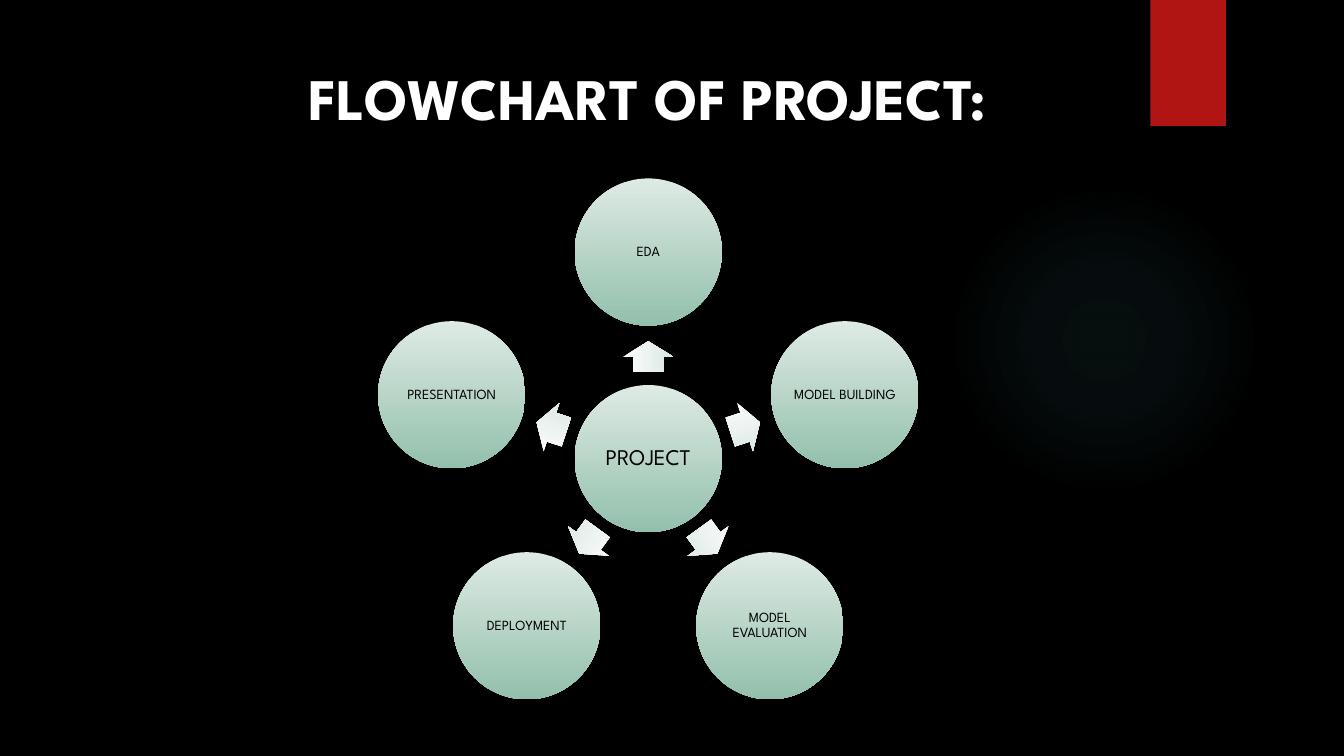
from dataclasses import dataclass
from math import cos, radians, sin

from lxml.etree import SubElement
from pptx import Presentation
from pptx.dml.color import RGBColor
from pptx.enum.shapes import MSO_SHAPE
from pptx.enum.text import MSO_ANCHOR, PP_ALIGN
from pptx.oxml.ns import qn
from pptx.util import Pt

SCALE = 9144
SIZE = (1333, 750)
HUB = (643, 455)
STEPS = ["EDA", "MODEL BUILDING", "MODEL EVALUATION", "DEPLOYMENT", "PRESENTATION"]
DISC = 146
ORBIT = 205
REACH = 101
ARROW = (31, 50)


@dataclass(frozen=True)
class Theme:
    font: str = "League Spartan"
    back: str = "000000"
    title: str = "FFFFFF"
    label: str = "000000"
    flag: str = "B01513"
    glow: str = "50B9C1"
    disc: tuple = ("DEEAE4", "93C0AC")
    arrow: tuple = ("FFFFFF", "D9E6E0")
    head: int = 42
    hub: int = 16
    step: int = 10


def px(num):
    return round(num * SCALE)


def rgb(code):
    return RGBColor.from_string(code)


def put(item, values):
    for name, value in values.items():
        setattr(item, name, value)


def polar(angle, radius):
    turn = radians(angle)
    return HUB[0] + radius * cos(turn), HUB[1] + radius * sin(turn)


class Board:
    def __init__(self, deck, theme):
        self.theme = theme
        self.slide = deck.slides.add_slide(deck.slide_layouts[5])
        fill = self.slide.background.fill
        fill.solid()
        fill.fore_color.rgb = rgb(theme.back)

    def shape(self, kind, left, top, width, height):
        item = self.slide.shapes.add_shape(kind, px(left), px(top), px(width), px(height))
        item.shadow.inherit = False
        item.line.fill.background()
        return item

    def blend(self, item, codes):
        item.fill.gradient()
        item.fill.gradient_angle = 270
        for stop, code in zip(item.fill.gradient_stops, codes):
            stop.color.rgb = rgb(code)

    def label(self, item, text, size, color, bold, frame, para):
        put(item.text_frame, {"word_wrap": True, **frame})
        first = item.text_frame.paragraphs[0]
        put(first, {"alignment": PP_ALIGN.CENTER, **para})
        run = first.add_run()
        run.text = text
        put(run.font, {"name": self.theme.font, "size": Pt(size), "bold": bold})
        run.font.color.rgb = rgb(color)

    def title(self, text, left, top, width, height):
        item = self.slide.shapes.title
        put(item, {"left": px(left), "top": px(top), "width": px(width), "height": px(height)})
        self.label(item, text, self.theme.head, self.theme.title, True,
                   {"vertical_anchor": MSO_ANCHOR.TOP}, {})

    def glow(self, left, top, side):
        item = self.shape(MSO_SHAPE.OVAL, left, top, side, side)
        item.fill.gradient()
        grad = item._element.spPr.find(qn("a:gradFill"))
        for child in list(grad):
            grad.remove(child)
        stops = SubElement(grad, qn("a:gsLst"))
        for place, alpha in ((0, 7), (36, 6), (69, 0)):
            stop = SubElement(stops, qn("a:gs"), {"pos": str(place * 1000)})
            color = SubElement(stop, qn("a:srgbClr"), {"val": self.theme.glow})
            SubElement(color, qn("a:alpha"), {"val": str(alpha * 1000)})
        route = SubElement(grad, qn("a:path"), {"path": "circle"})
        SubElement(route, qn("a:fillToRect"), dict.fromkeys("ltrb", "50000"))

    def flag(self, left, top, width, height):
        item = self.shape(MSO_SHAPE.RECTANGLE, left, top, width, height)
        item.fill.solid()
        item.fill.fore_color.rgb = rgb(self.theme.flag)

    def disc(self, text, x, y, size, inset):
        item = self.shape(MSO_SHAPE.OVAL, x - DISC / 2, y - DISC / 2, DISC, DISC)
        self.blend(item, self.theme.disc)
        sides = ("margin_left", "margin_top", "margin_right", "margin_bottom")
        frame = {"vertical_anchor": MSO_ANCHOR.MIDDLE, **dict.fromkeys(sides, px(inset))}
        self.label(item, text, size, self.theme.label, False, frame, {"line_spacing": 0.9})

    def arrow(self, x, y, angle):
        width, height = ARROW
        item = self.shape(MSO_SHAPE.RIGHT_ARROW, x - width / 2, y - height / 2, width, height)
        item.adjustments[0] = 0.6
        item.adjustments[1] = 0.5
        item.rotation = angle
        self.blend(item, self.theme.arrow)


def main():
    deck = Presentation()
    put(deck, {"slide_width": px(SIZE[0]), "slide_height": px(SIZE[1])})
    theme = Theme()
    board = Board(deck, theme)
    board.glow(941, 183, 308)
    board.flag(1141, 0, 75, 125)
    board.title("FLOWCHART OF PROJECT:", 177, 56, 930, 121)
    board.disc("PROJECT", *HUB, theme.hub, 2)
    for rank, step in enumerate(STEPS):
        angle = (270 + rank * 360 / len(STEPS)) % 360
        board.arrow(*polar(angle, REACH), angle)
        board.disc(step, *polar(angle, ORBIT), theme.step, 1)
    deck.save("out.pptx")


if __name__ == "__main__":
    main()
